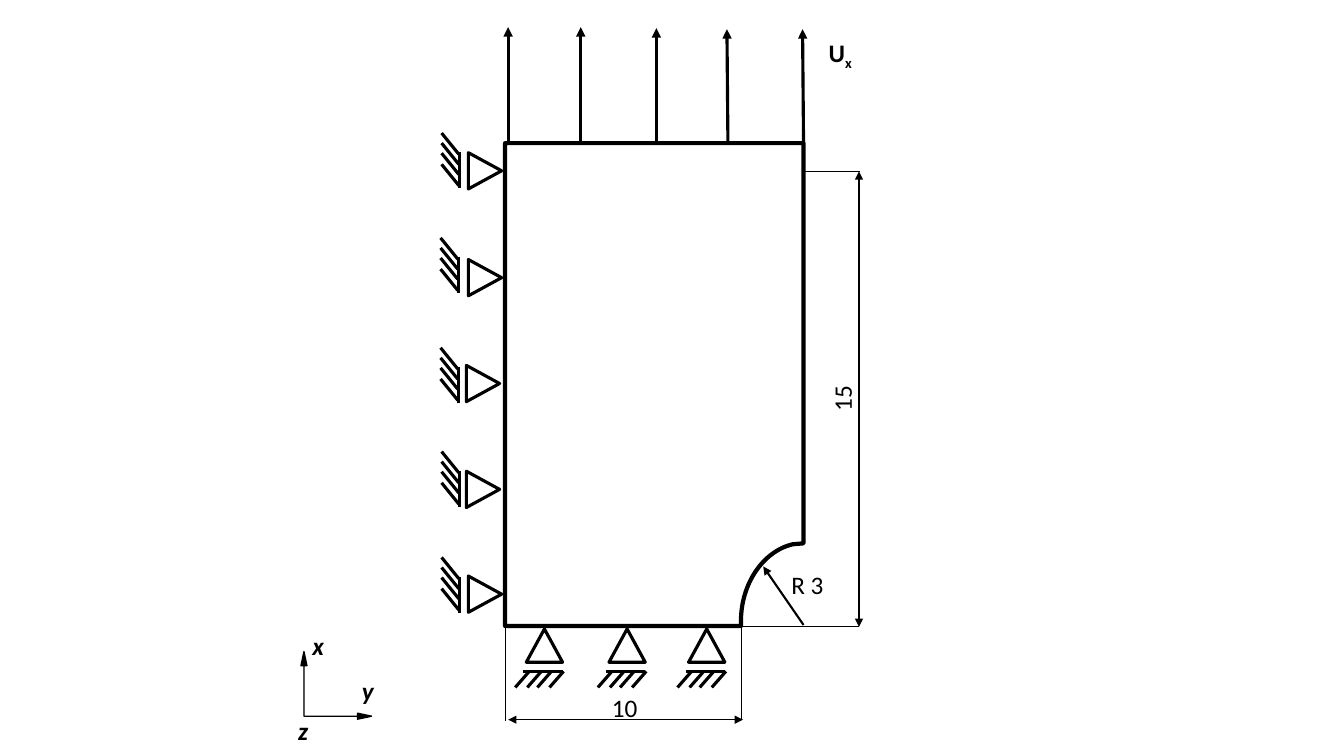
import pptx
import pptx.util
import pptx.dml.color
import pptx.enum.shapes
import pptx.enum.text
import pptx.oxml.ns
from lxml import etree

SCALE = 9144  # EMU in one px, 100 px to the inch
COLORS = {"ink": "000000", "paper": "FFFFFF"}
SHAPES = pptx.enum.shapes.MSO_SHAPE


def color(name):
    return pptx.dml.color.RGBColor.from_string(COLORS[name])


class Sketch:
    """Style and current slide of the drawing."""

    def __init__(self, page):
        self.page = page
        self.font = {"name": "Calibri", "size": pptx.util.Pt(18)}

    def outline(self, item, width):
        item.line.color.rgb = color("ink")
        item.line.width = pptx.util.Pt(width)

    def paint(self, shape, fill, width):
        shape.shadow.inherit = False
        shape.fill.solid()
        shape.fill.fore_color.rgb = color(fill)
        self.outline(shape, width)

    def line(self, x1, y1, x2, y2, width=2.25, ends=()):
        connector = self.page.shapes.add_connector(
            pptx.enum.shapes.MSO_CONNECTOR.STRAIGHT,
            *(value * SCALE for value in (x1, y1, x2, y2)))
        self.outline(connector, width)
        for end in ends:
            tip = etree.SubElement(connector.line._get_or_add_ln(),
                                   pptx.oxml.ns.qn(f"a:{end}"))
            tip.set("type", "triangle")
        etree.SubElement(connector._element.spPr,
                         pptx.oxml.ns.qn("a:effectLst"))

    def shape(self, kind, left, top, width, height, fill="paper",
              line=2.25, rotation=0, adjust=()):
        shape = self.page.shapes.add_shape(
            kind, *(value * SCALE for value in (left, top, width, height)))
        shape.rotation = rotation
        for index, value in enumerate(adjust):
            shape.adjustments[index] = value
        self.paint(shape, fill, line)

    def outline_shape(self, points, width):
        start, *others = [(x * SCALE, y * SCALE) for x, y in points]
        builder = self.page.shapes.build_freeform(*start, scale=1.0)
        builder.add_line_segments(others, close=True)
        self.paint(builder.convert_to_shape(), "paper", width)

    def text(self, words, left, top, width, height=40, rotation=0,
             wrap=False, subscript="", **style):
        box = self.page.shapes.add_textbox(
            *(value * SCALE for value in (left, top, width, height)))
        box.rotation = rotation
        frame = box.text_frame
        frame.word_wrap = wrap
        frame.auto_size = pptx.enum.text.MSO_AUTO_SIZE.SHAPE_TO_FIT_TEXT
        para = frame.paragraphs[0]
        for part in filter(None, (words, subscript)):
            span = para.add_run()
            span.text = part
            for name, value in {**self.font, **style}.items():
                setattr(span.font, name, value)
            span.font.color.rgb = color("ink")
        if subscript:
            span._r.get_or_add_rPr().set("baseline", "-25000")

    def side_roller(self, left, top, wall_x, wall_y):
        self.shape(SHAPES.ISOSCELES_TRIANGLE, left, top, 36, 33, rotation=90)
        self.line(wall_x, wall_y, wall_x, wall_y + 36)
        for offset in (-19, -9, 1, 12):
            self.line(wall_x - 18, wall_y + offset,
                      wall_x - 1, wall_y + offset + 21)

    def base_roller(self, left):
        self.shape(SHAPES.ISOSCELES_TRIANGLE, left, 624, 36, 33)
        self.line(left - 3, 666, left + 36, 666)
        for offset in (-11, 1, 11, 23):
            self.line(left + offset, 682, left + offset + 14, 666)


def curve(start, control1, control2, end, steps=32):
    """Points along a cubic curve."""
    points = []
    for step in range(steps + 1):
        t = step / steps
        weights = ((1 - t) ** 3, 3 * t * (1 - t) ** 2,
                   3 * t ** 2 * (1 - t), t ** 3)
        points.append(tuple(
            sum(weight * value for weight, value in zip(weights, axis))
            for axis in zip(start, control1, control2, end)))
    return points


def main():
    deck = pptx.Presentation()
    deck.slide_width = 1333 * SCALE
    deck.slide_height = 750 * SCALE
    sketch = Sketch(deck.slides.add_slide(deck.slide_layouts[6]))

    # Plate with the quarter hole
    notch = curve((786, 540), (757, 547), (735, 579), (735, 616))
    sketch.outline_shape([(501, 142), (797, 142), (797, 539), *notch,
                          (735, 621), (501, 621)], 3)

    # Supports
    for left, top, wall_x, wall_y in ((463, 153, 456, 151),
                                      (463, 259, 455, 255),
                                      (461, 364, 455, 364),
                                      (461, 469, 456, 467),
                                      (463, 573, 456, 572)):
        sketch.side_roller(left, top, wall_x, wall_y)
    for left in (522, 604, 683):
        sketch.base_roller(left)

    # Applied displacement
    for foot, tip, top in ((504, 504, 27), (576, 576, 27), (651, 651, 28),
                           (722, 721, 29), (797, 796, 29)):
        sketch.line(foot, 142, tip, top, ends=["tailEnd"])
    sketch.text("U", 812, 32, 55, wrap=True, subscript="x", bold=True)

    # Dimensions
    both = ("headEnd", "tailEnd")
    for ends in ((798, 170, 853, 170), (735, 621, 852, 621),
                 (501, 621, 501, 715), (735, 621, 735, 714)):
        sketch.line(*ends, width=0.5)
    sketch.line(852, 170, 852, 622, 1, both)
    sketch.line(504, 714, 737, 714, 0.5, both)
    sketch.line(797, 620, 757, 562, 1.5, ["tailEnd"])
    sketch.text("15", 812, 375, 46, rotation=270)
    sketch.text("10", 597, 682, 46)
    sketch.text("R 3", 775, 560, 52)

    # Coordinate axes
    sketch.shape(SHAPES.LEFT_UP_ARROW, 300, 645, 67, 70, fill="ink", line=1,
                 rotation=90, adjust=(0, 0.044, 0.208))
    for name, left, top, width in (("x", 300, 620, 32), ("z", 286, 705, 30),
                                   ("y", 349, 665, 32)):
        sketch.text(name, left, top, width, bold=True, italic=True)

    deck.save("out.pptx")


if __name__ == "__main__":
    main()
